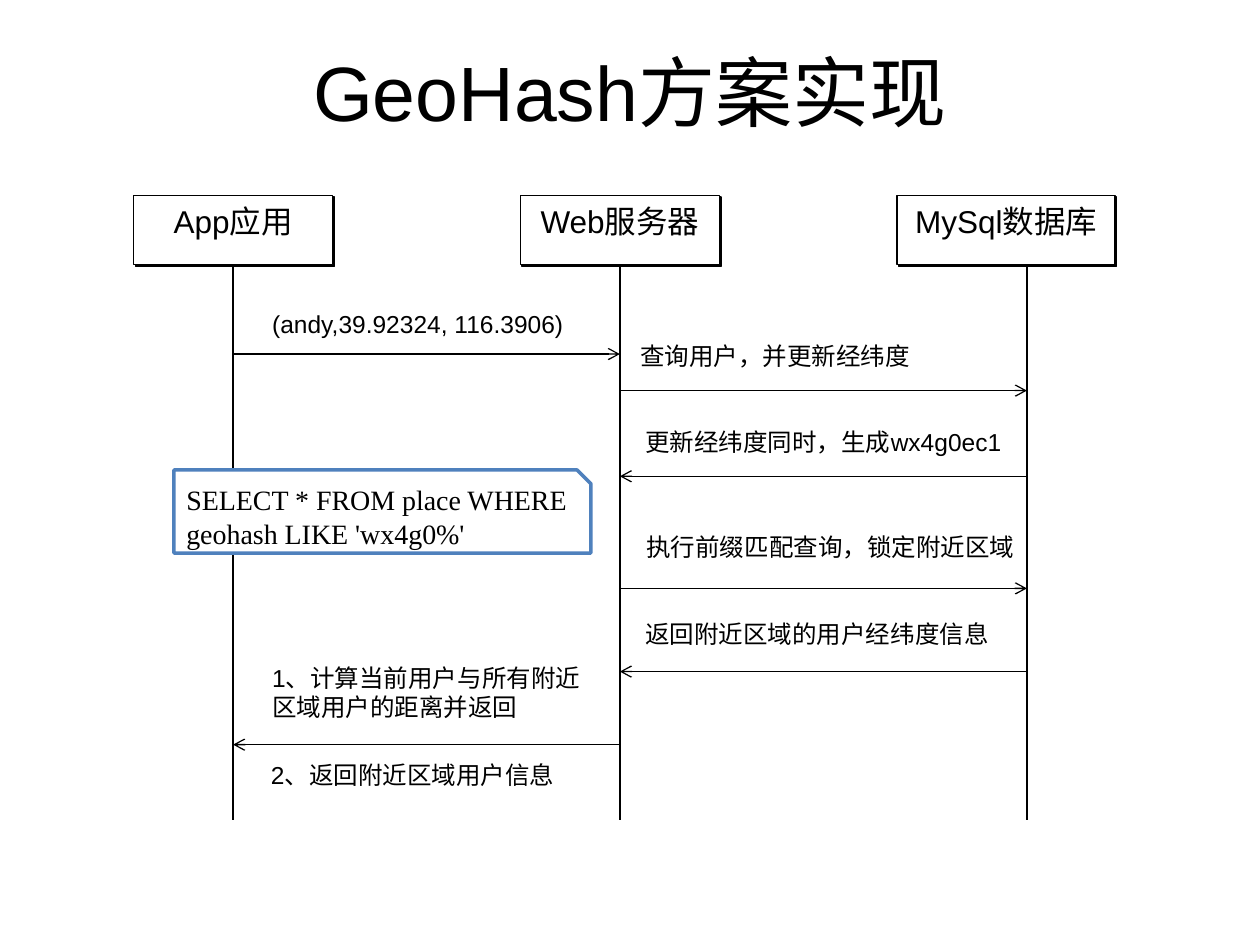
from dataclasses import dataclass
from lxml.etree import SubElement
from pptx import Presentation
from pptx.dml.color import RGBColor
from pptx.enum.shapes import MSO_CONNECTOR as Connector, MSO_SHAPE as Shape
from pptx.enum.text import MSO_ANCHOR as Anchor, MSO_AUTO_SIZE as AutoSize, PP_ALIGN as Align
from pptx.oxml.ns import qn
from pptx.util import Inches, Pt


@dataclass(frozen=True)
class Theme:
    ink: RGBColor = RGBColor(0x00, 0x00, 0x00)
    paper: RGBColor = RGBColor(0xFF, 0xFF, 0xFF)
    accent: RGBColor = RGBColor(0x4F, 0x81, 0xBD)
    font: str = "Arial"
    query_font: str = "Times New Roman"
    title: Pt = Pt(44)
    participant: Pt = Pt(18)
    query: Pt = Pt(16)
    message: Pt = Pt(14)
    thin: Pt = Pt(0.75)
    thick: Pt = Pt(2)


theme = Theme()


def write_text(shape, text, size, align=Align.LEFT, font=theme.font):
    frame = shape.text_frame
    frame.text = text
    frame.word_wrap = True
    frame.auto_size = AutoSize.NONE
    frame.vertical_anchor = Anchor.TOP
    paragraph = frame.paragraphs[0]
    paragraph.alignment = align
    run_font = paragraph.runs[0].font
    run_font.name, run_font.size = font, size
    run_font.color.rgb = theme.ink


def draw_line(x1, y1, x2, y2, arrow=False):
    line = slide.shapes.add_connector(
        Connector.STRAIGHT, Inches(x1), Inches(y1), Inches(x2), Inches(y2))
    line.line.color.rgb = theme.ink
    line.line.width = theme.thin
    if arrow:
        SubElement(line.line._get_or_add_ln(), qn("a:tailEnd"), type="arrow")
    SubElement(line._element.spPr, qn("a:effectLst"))
    return line


presentation = Presentation()
presentation.slide_width, presentation.slide_height = Inches(10), Inches(7.5)
slide = presentation.slides.add_slide(presentation.slide_layouts[5])

title = slide.shapes.title
title.left, title.top = Inches(0.5), Inches(0.3)
title.width, title.height = Inches(9), Inches(0.69)
write_text(title, "GeoHash方案实现", theme.title, Align.CENTER)

box_top, box_height, lifeline_end = 1.55, 0.55, 6.51
app, web, database = 1.85, 4.92, 8.15
participants = [
    ("App应用", 1.06, 1.58, app),
    ("Web服务器", 4.13, 1.58, web),
    ("MySql数据库", 7.12, 1.73, database),
]
for name, left, width, lifeline_x in participants:
    box = slide.shapes.add_shape(
        Shape.RECTANGLE, Inches(left), Inches(box_top), Inches(width), Inches(box_height))
    box.fill.solid()
    box.fill.fore_color.rgb = theme.paper
    box.line.color.rgb = theme.ink
    box.line.width = theme.thin
    box.shadow.inherit = False
    effects = box._element.spPr.find(qn("a:effectLst"))
    shadow = SubElement(effects, qn("a:outerShdw"), dist=str(Pt(1.4)), dir="2700000")
    SubElement(shadow, qn("a:srgbClr"), val=str(theme.ink))
    write_text(box, name, theme.participant, Align.CENTER)
    lifeline = draw_line(lifeline_x, box_top + box_height, lifeline_x, lifeline_end)
    if abs(left + width / 2 - lifeline_x) < 0.01:
        lifeline.begin_connect(box, 2)

arrows = [
    (app, web, 2.81),
    (web, database, 3.1),
    (database, web, 3.78),
    (web, database, 4.67),
    (database, web, 5.33),
    (web, app, 5.91),
]
for start, end, y in arrows:
    draw_line(start, y, end, y, arrow=True)

messages = [
    ("(andy,39.92324, 116.3906)", 2.16, 2.45, 2.52, 0.23),
    ("查询用户，并更新经纬度", 5.08, 2.71, 2.52, 0.23),
    ("更新经纬度同时，生成wx4g0ec1", 5.12, 3.39, 3.07, 0.23),
    ("执行前缀匹配查询，锁定附近区域", 5.13, 4.22, 3.15, 0.23),
    ("返回附近区域的用户经纬度信息", 5.12, 4.91, 2.87, 0.23),
    ("1、计算当前用户与所有附近区域用户的距离并返回", 2.16, 5.26, 2.57, 0.47),
    ("2、返回附近区域用户信息", 2.15, 6.03, 2.57, 0.23),
]
for text, *bounds in messages:
    label = slide.shapes.add_textbox(*map(Inches, bounds))
    frame = label.text_frame
    frame.margin_left = frame.margin_right = frame.margin_top = frame.margin_bottom = 0
    write_text(label, text, theme.message)

query = slide.shapes.add_shape(
    Shape.SNIP_1_RECTANGLE, Inches(1.38), Inches(3.73), Inches(3.31), Inches(0.66))
query.fill.solid()
query.fill.fore_color.rgb = theme.paper
query.line.color.rgb = theme.accent
query.line.width = theme.thick
query.shadow.inherit = False
write_text(query, "SELECT * FROM place WHERE geohash LIKE 'wx4g0%'",
           theme.query, font=theme.query_font)
query.text_frame.margin_right = Inches(0.05)

presentation.save("out.pptx")
